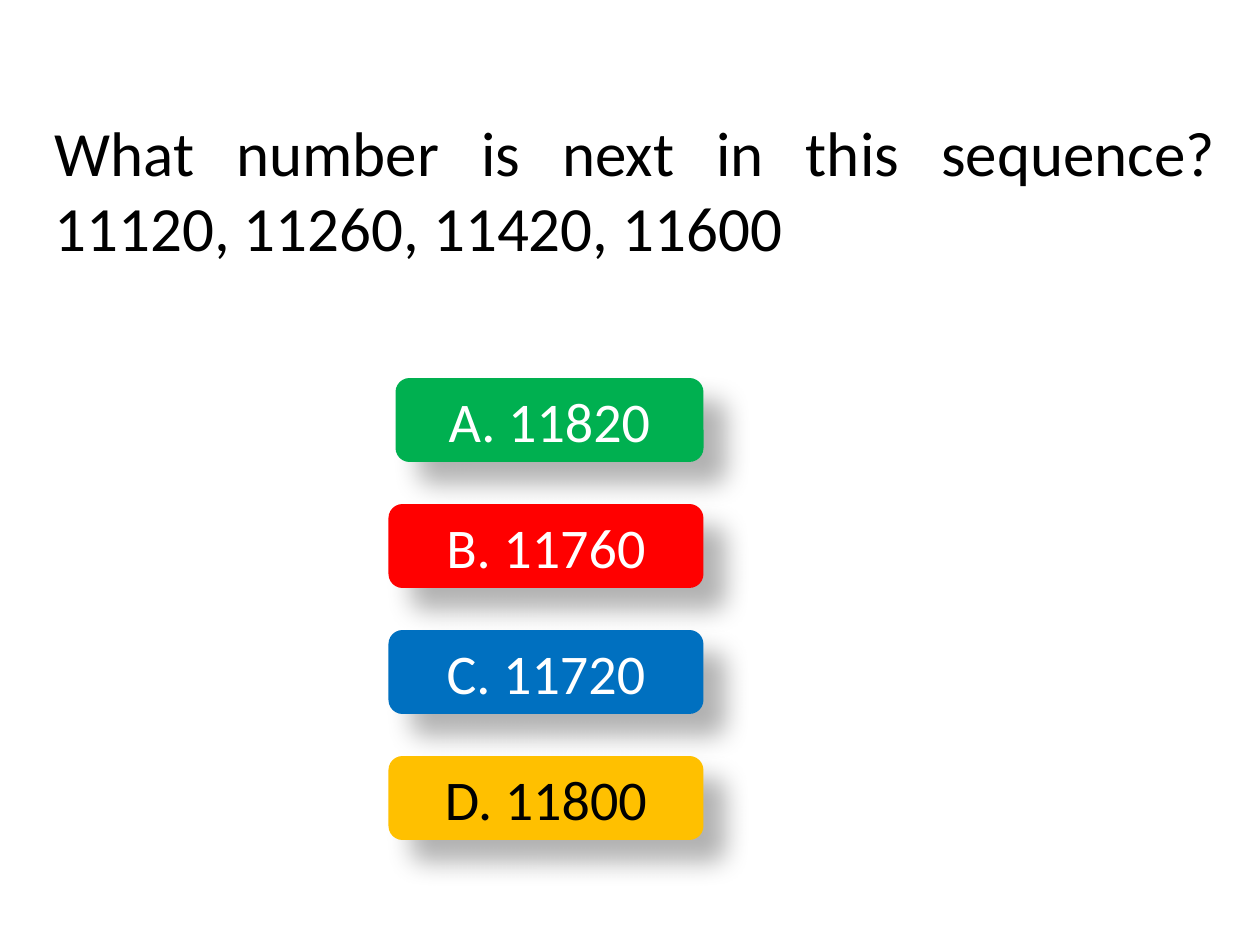
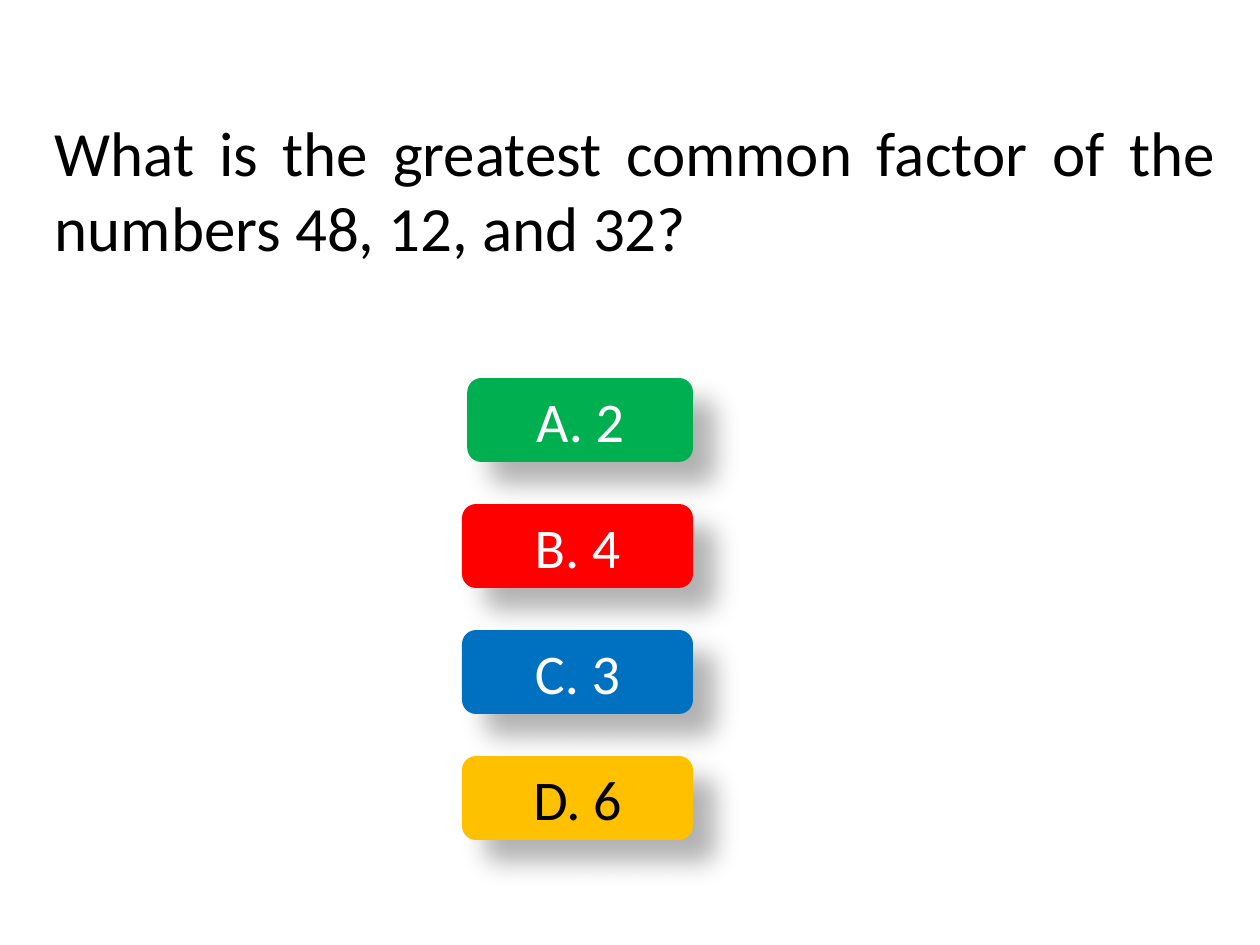
"""Build two multiple-choice maths quiz slides."""
from lxml import etree
from pptx import Presentation
from pptx.dml.color import RGBColor
from pptx.enum.shapes import MSO_SHAPE
from pptx.enum.text import MSO_ANCHOR, MSO_AUTO_SIZE, PP_ALIGN
from pptx.oxml import parse_xml
from pptx.oxml.ns import nsdecls
from pptx.util import Pt

FONT = "Calibri"
BLACK, WHITE = "000000", "FFFFFF"
ANSWER_STYLES = [("00B050", WHITE), ("FF0000", WHITE), ("0070C0", WHITE), ("FFC000", BLACK)]
FIRST_TOP, ROW_STEP, ANSWER_HEIGHT = 216, 72, 48
SHADOW = (
    f'<a:effectLst {nsdecls("a")}>'
    f'<a:outerShdw blurRad="{Pt(15)}" dist="{Pt(18)}" dir="2700000" algn="tl" rotWithShape="0">'
    f'<a:srgbClr val="{BLACK}"><a:alpha val="30000"/></a:srgbClr>'
    "</a:outerShdw></a:effectLst>"
)

QUESTIONS = [
    {
        "title": "What number is next in this sequence?\v11120, 11260, 11420, 11600",
        "answers": ["A. 11820", "B. 11760", "C. 11720", "D. 11800"],
        "left": 222, "right": 402, "first_indent": 4,
    },
    {
        "title": "What is the greatest common factor of the numbers 48, 12, and 32?",
        "answers": ["A. 2", "B. 4", "C. 3", "D. 6"],
        "left": 264, "right": 396, "first_indent": 3,
    },
]


def color(value):
    return RGBColor.from_string(value)


def write(shape, text, size, text_color, alignment):
    frame = shape.text_frame
    frame.text = text
    frame.word_wrap = True
    frame.auto_size = MSO_AUTO_SIZE.NONE
    frame.vertical_anchor = MSO_ANCHOR.MIDDLE
    paragraph = frame.paragraphs[0]
    paragraph.alignment = alignment
    paragraph.font.name = FONT
    paragraph.font.size = Pt(size)
    paragraph.font.color.rgb = color(text_color)


presentation = Presentation()
presentation.slide_width, presentation.slide_height = Pt(720), Pt(540)
title_only = presentation.slide_layouts[5]

for question in QUESTIONS:
    slide = presentation.slides.add_slide(title_only)
    title = slide.shapes.title
    title.left, title.top, title.width, title.height = Pt(24), Pt(30), Pt(678), Pt(156)
    write(title, question["title"], 36, BLACK, PP_ALIGN.JUSTIFY)

    for row, (answer, (fill, text_color)) in enumerate(zip(question["answers"], ANSWER_STYLES)):
        left = question["left"] + (question["first_indent"] if row == 0 else 0)
        button = slide.shapes.add_shape(
            MSO_SHAPE.ROUNDED_RECTANGLE, Pt(left), Pt(FIRST_TOP + row * ROW_STEP),
            Pt(question["right"] - left), Pt(ANSWER_HEIGHT))
        button.fill.solid()
        button.fill.fore_color.rgb = color(fill)
        button.line.fill.background()
        button._element.spPr.append(parse_xml(SHADOW))
        write(button, answer, 32, text_color, PP_ALIGN.CENTER)

presentation.save("out.pptx")
